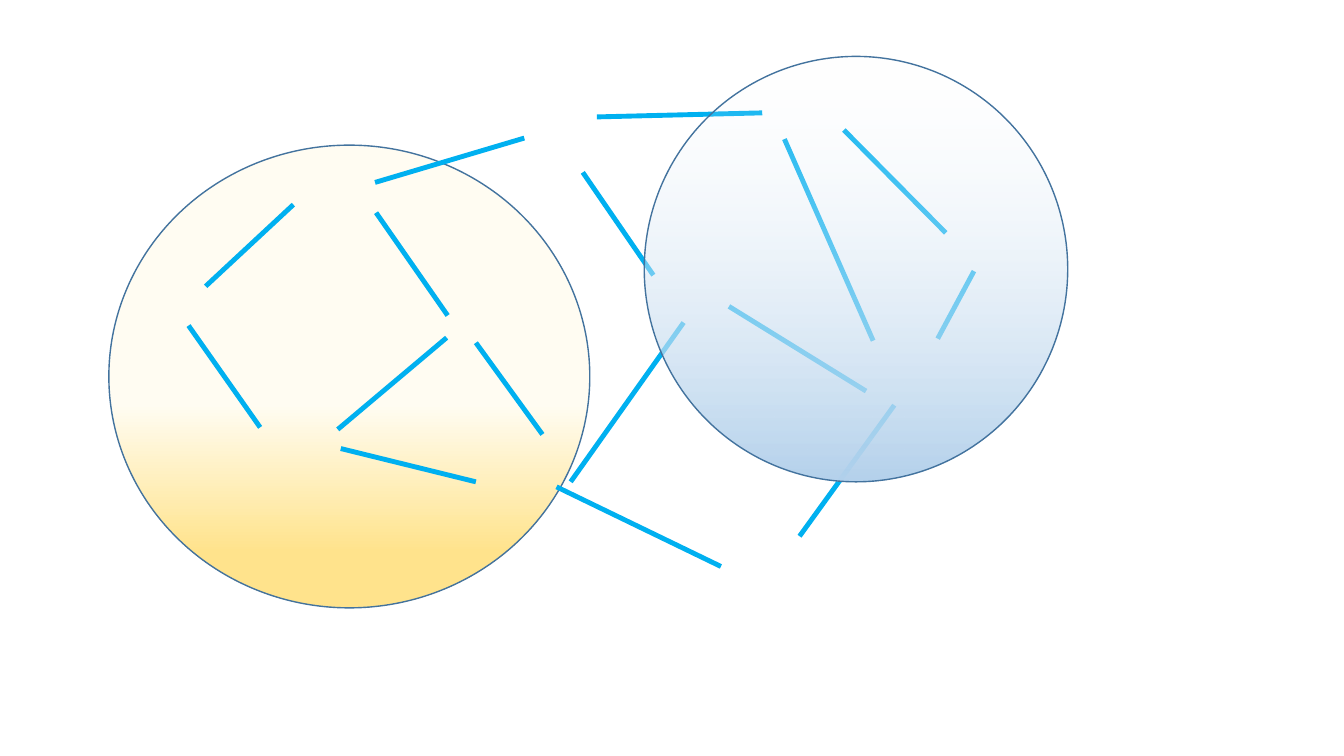
from lxml import etree
from pptx import Presentation
from pptx import util as u
from pptx.dml.color import RGBColor
from pptx.enum import shapes
from pptx.oxml.ns import qn

# Content: circles as (left, top, width, height) with gradient stops
# of (position %, colour, opacity %), running from top to bottom
YELLOW_CIRCLE = ((1.08, 1.44, 4.77, 4.59),
                 [(0, "FFFCF2", 100), (56, "FFFCF2", 100),
                  (88, "FFE38C", 100), (100, "FFE38C", 100)])
BLUE_CIRCLE = ((6.39, 0.56, 4.2, 4.22),
               [(0, "F7FAFD", 0), (100, "B5D2EC", 100)])

# Network links as (from x, from y, to x, to y)
LINKS = [
    (5.78, 1.71, 6.48, 2.73),
    (4.72, 3.4, 5.38, 4.31),
    (3.38, 4.45, 4.72, 4.78),
    (9.66, 2.69, 9.3, 3.36),
    (7.23, 3.04, 8.59, 3.88),
    (3.73, 2.11, 4.44, 3.13),
    (1.87, 3.23, 2.58, 4.24),
    (8.37, 1.29, 9.38, 2.31),
    (3.35, 4.26, 4.43, 3.35),
    (6.78, 3.2, 5.66, 4.78),
    (7.78, 1.38, 8.66, 3.38),
    (2.04, 2.84, 2.91, 2.03),
    (3.72, 1.81, 5.2, 1.37),
    (5.92, 1.16, 7.56, 1.12),
    (5.52, 4.83, 7.15, 5.62),
    (8.87, 4.02, 7.93, 5.32),
]
OUTLINE, LINK = "43739E", "00B0F0"


def inches(values):
    return [u.Inches(value) for value in values]


def set_line(line, colour, width):
    line.color.rgb = RGBColor.from_string(colour)
    line.width = u.Pt(width)


def add_circle(group, box, stops):
    circle = group.shapes.add_shape(shapes.MSO_SHAPE.OVAL, *inches(box))
    circle.shadow.inherit = False
    set_line(circle.line, OUTLINE, 1)
    circle.fill.gradient()
    circle.fill.gradient_angle = 270
    # Custom stops with transparency
    stop_list = circle._element.spPr.find(".//" + qn("a:gsLst"))
    for default_stop in list(stop_list):
        stop_list.remove(default_stop)
    for position, colour, opacity in stops:
        stop = etree.SubElement(stop_list, qn("a:gs"), pos=str(position * 1000))
        rgb = etree.SubElement(stop, qn("a:srgbClr"), val=colour)
        if opacity < 100:
            etree.SubElement(rgb, qn("a:alpha"), val=str(opacity * 1000))


def add_link(group, ends):
    link = group.shapes.add_connector(shapes.MSO_CONNECTOR.STRAIGHT, *inches(ends))
    set_line(link.line, LINK, 3.5)
    etree.SubElement(link._element.spPr, qn("a:effectLst"))


def main():
    deck = Presentation()
    deck.slide_width, deck.slide_height = inches((13.33, 7.5))
    slide = deck.slides.add_slide(deck.slide_layouts[6])

    # Links lie above the yellow circle and below the translucent blue one
    network = slide.shapes.add_group_shape()
    add_circle(network, *YELLOW_CIRCLE)
    for ends in LINKS:
        add_link(network, ends)
    add_circle(network, *BLUE_CIRCLE)

    deck.save("out.pptx")


if __name__ == "__main__":
    main()
